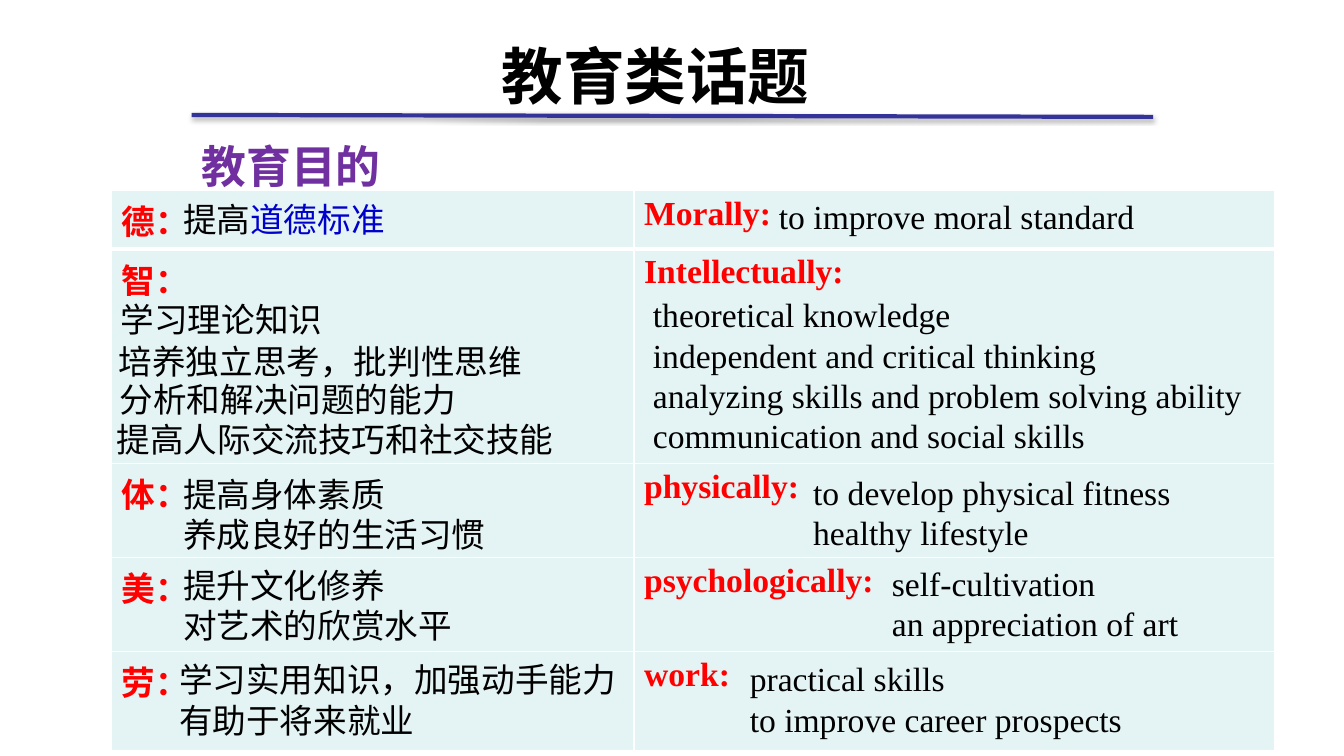
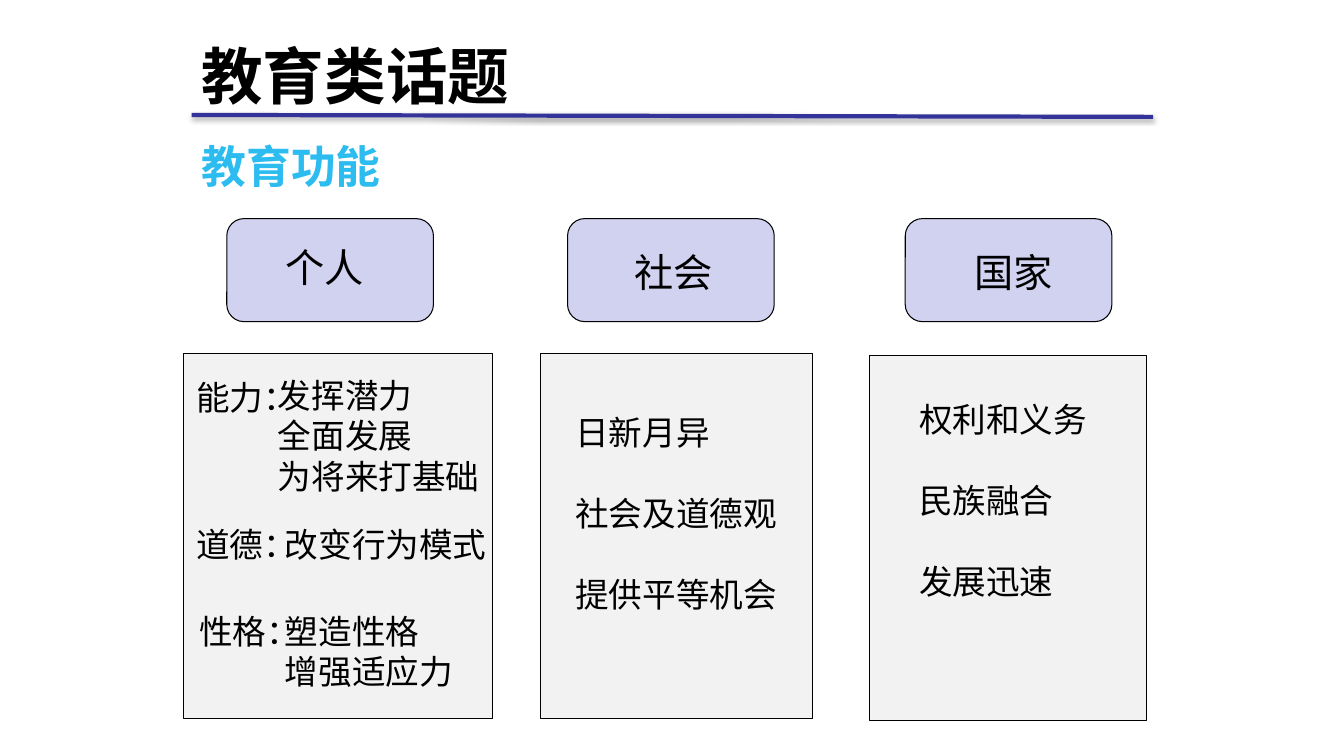
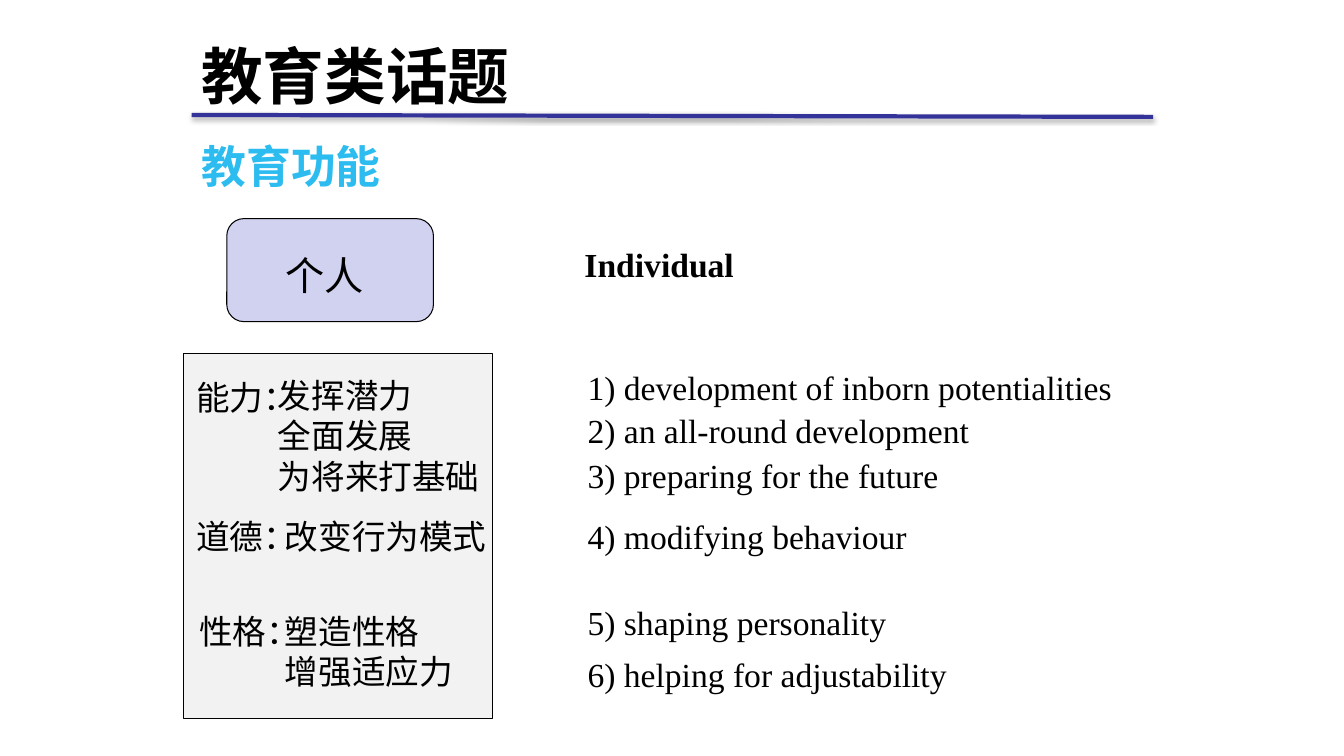
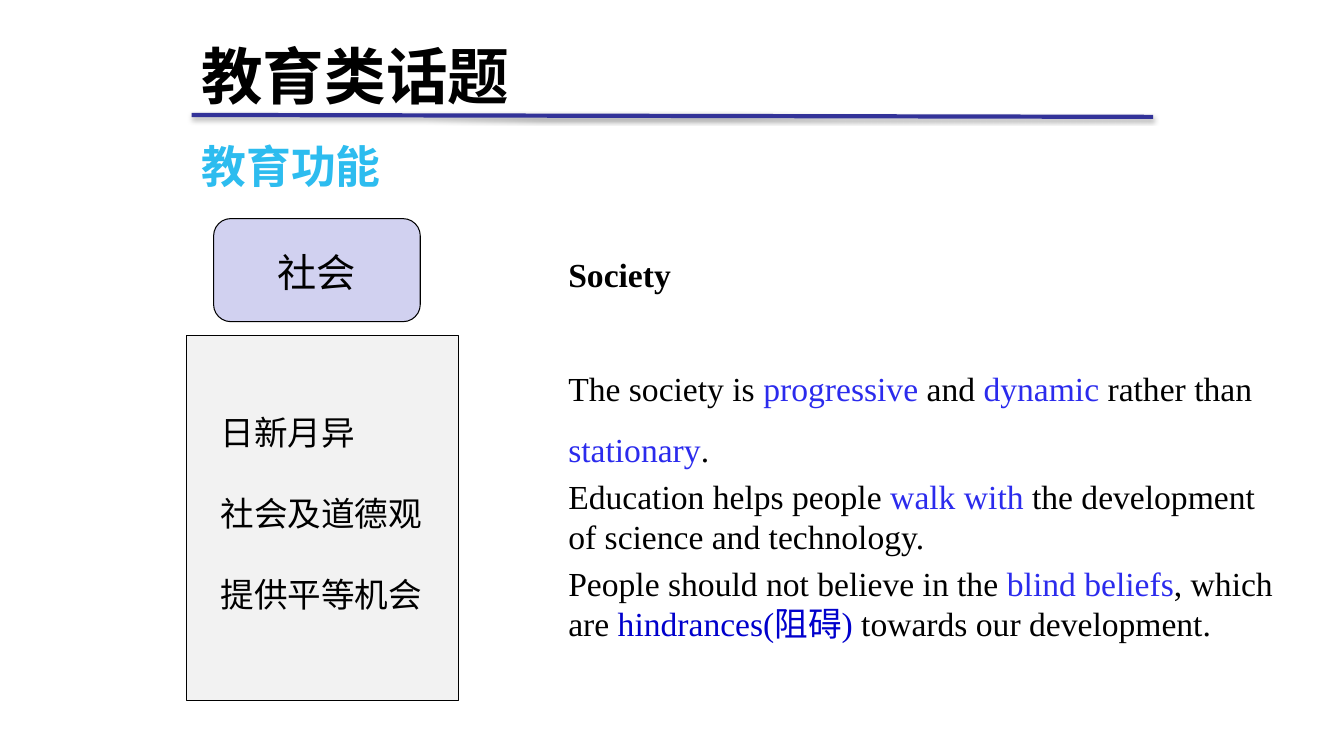
from lxml.etree import SubElement
from pptx import Presentation
from pptx.dml.color import RGBColor
from pptx.enum.shapes import MSO_CONNECTOR, MSO_SHAPE
from pptx.enum.text import PP_ALIGN
from pptx.oxml import parse_xml
from pptx.oxml.ns import nsdecls, qn
from pptx.util import Pt

# Shared look
SANS, SERIF, HAN = "Arial", "Times New Roman", "Noto Sans CJK SC"
BLACK, WHITE, RED = "000000", "FFFFFF", "FF0000"
PURPLE, SKY, RULE_BLUE = "7030A0", "2DBCEF", "333399"
DEEP_BLUE, KEY_BLUE = "0000CC", "2B2BED"
CARD_FILL, PANEL_FILL, CELL_FILL = "D1D1F0", "F2F2F2", "E4F3F4"
LEADING = 1.2       # line pitch in ems
LINE = 24 * LEADING  # one line of body text

# Shared places
MARGIN = 136.8
CARD_TOP, CARD_W, CARD_H = 156.2, 147.6, 73.6
PANEL_H = 260.6

INDIVIDUAL_LEFT, INDIVIDUAL_TOP = 131, 252.7
SOCIETY_POINTS = ["日新月异", "社会及道德观", "提供平等机会"]


def rgb(hex_text):
    return RGBColor.from_string(hex_text)


def add_run(paragraph, text, size=24, font=HAN, color=BLACK, bold=False):
    run = paragraph.add_run()
    run.text = text
    for name, value in {"size": Pt(size), "name": font, "bold": bold}.items():
        setattr(run.font, name, value)
    run.font.color.rgb = rgb(color)
    SubElement(run.font._element, qn("a:ea")).set("typeface", HAN)


def add_text(slide, left, top, width, height, paragraphs, size=24, font=HAN,
             color=BLACK, bold=False, align=PP_ALIGN.LEFT, gap=0):
    """A paragraph is a string or a list of (text, colour) pairs."""
    frame = slide.shapes.add_textbox(Pt(left), Pt(top), Pt(width), Pt(height)).text_frame
    frame.word_wrap = True
    if font != SERIF:
        frame.margin_top = Pt(round(3.6 + 0.06 * size, 2))
    for index, content in enumerate(paragraphs):
        paragraph = frame.paragraphs[0] if index == 0 else frame.add_paragraph()
        spacing = {"alignment": align, "line_spacing": Pt(size * LEADING),
                   "space_before": Pt(gap if index else 0)}
        for name, value in spacing.items():
            setattr(paragraph, name, value)
        pieces = [(content, color)] if isinstance(content, str) else content
        for text, piece_color in pieces:
            add_run(paragraph, text, size, font, piece_color, bold)
    return frame


def add_block(slide, kind, left, top, width, height, fill):
    block = slide.shapes.add_shape(kind, Pt(left), Pt(top), Pt(width), Pt(height))
    block.shadow.inherit = False
    block.fill.solid()
    block.fill.fore_color.rgb = rgb(fill)
    block.line.color.rgb = rgb(BLACK)
    block.line.width = Pt(0.75)


def add_header(slide, section, accent, title_left=MARGIN, align=PP_ALIGN.LEFT):
    # Rule with a soft shadow
    rule = slide.shapes.add_connector(MSO_CONNECTOR.STRAIGHT, Pt(MARGIN), Pt(82.1),
                                      Pt(823.7), Pt(83.5))
    rule.line.color.rgb = rgb(RULE_BLUE)
    rule.line.width = Pt(3)
    rule._element.spPr.append(parse_xml(
        f'<a:effectLst {nsdecls("a")}><a:outerShdw blurRad="{Pt(3.1)}" dist="{Pt(1.8)}" '
        f'dir="5400000" rotWithShape="0"><a:srgbClr val="{BLACK}"><a:alpha val="35000"/>'
        '</a:srgbClr></a:outerShdw></a:effectLst>'))
    # Title and section name
    add_text(slide, title_left, 20.9, 573.8, 60.5, ["教育类话题"], 44, SANS, bold=True, align=align)
    add_text(slide, MARGIN, 93.6, 193.7, 35.3, [section], 32, SANS, accent, True)


def add_card(slide, left, label, label_dx, label_dy):
    add_block(slide, MSO_SHAPE.ROUNDED_RECTANGLE, left, CARD_TOP, CARD_W, CARD_H, CARD_FILL)
    add_text(slide, left + label_dx, CARD_TOP + label_dy, 96.5, 41, [label], 28,
             align=PP_ALIGN.CENTER)


def add_panel(slide, left, top, width, points, dx, dy):
    add_block(slide, MSO_SHAPE.RECTANGLE, left, top, width, PANEL_H, PANEL_FILL)
    add_text(slide, left + dx, top + dy, 177.1, 5 * LINE + 7.2, points, gap=LINE)


def add_individual_panel(slide, left, top, moral_dy):
    add_block(slide, MSO_SHAPE.RECTANGLE, left, top, 221, PANEL_H, PANEL_FILL)
    aspects = [
        ("能力：", 2.2, 11.5, ["发挥潜力", "全面发展", "为将来打基础"], 60.5, 10.1),
        ("道德：", 2.2, moral_dy, ["改变行为模式"], 65.5, moral_dy),
        ("性格：", 4.3, 178.6, ["塑造性格", "增强适应力"], 65.5, 178.6),
    ]
    for label, label_dx, label_dy, points, dx, dy in aspects:
        add_text(slide, left + label_dx, top + label_dy, 96.5, 36, [label])
        add_text(slide, left + dx, top + dy, 163, len(points) * LINE + 7.2, points)


def set_borders(cell, **widths):
    properties = cell._tc.get_or_add_tcPr()
    for index, side in enumerate("LRTB"):
        properties.insert(index, parse_xml(
            f'<a:ln{side} {nsdecls("a")} w="{Pt(widths.get(side, 1))}"><a:solidFill>'
            f'<a:srgbClr val="{WHITE}"/></a:solidFill></a:ln{side}>'))


def add_aims_table(slide, left, top):
    columns = [373, 457.2]
    rows = [("德：", "Morally:", 41.8), ("智：", "Intellectually:", 153.4),
            ("体：", "physically:", 67), ("美：", "psychologically:", 67),
            ("劳：", "work:", 70.6)]
    table = slide.shapes.add_table(len(rows), len(columns), Pt(left), Pt(top),
                                   Pt(sum(columns)), Pt(sum(row[2] for row in rows))).table
    table.first_row = table.horz_banding = False
    for column, width in zip(table.columns, columns):
        column.width = Pt(width)
    for index, (chinese, english, height) in enumerate(rows):
        table.rows[index].height = Pt(height)
        # The line under the first row is heavier
        heavy = {0: {"B": 3}, 1: {"T": 3}}.get(index, {})
        for cell, text, font in zip(table.rows[index].cells, (chinese, english), (SANS, SERIF)):
            cell.fill.solid()
            cell.fill.fore_color.rgb = rgb(CELL_FILL)
            set_borders(cell, **heavy)
            add_run(cell.text_frame.paragraphs[0], text, 24, font, RED, True)


def add_aims_details(slide, left, top):
    """Details laid over the table whose corner is given."""
    chinese = [
        (43.9, 0.7, [[("提高", BLACK), ("道德标准", DEEP_BLUE)]]),
        (-0.7, 72.7, ["学习理论知识"]),
        (-2.2, 102.2, ["培养独立思考，批判性思维"]),
        (-1.4, 129.6, ["分析和解决问题的能力"]),
        (-3.6, 158.4, ["提高人际交流技巧和社交技能"]),
        (43.9, 197.3, ["提高身体素质", "养成良好的生活习惯"]),
        (43.9, 262.1, ["提升文化修养", "对艺术的欣赏水平"]),
        (41, 329.8, ["学习实用知识，加强动手能力", "有助于将来就业"]),
    ]
    english = [
        (469.4, 0, ["to improve moral standard"]),
        (379.4, 70.6, ["theoretical knowledge", "independent and critical thinking",
                       "analyzing skills and problem solving ability",
                       "communication and social skills"]),
        (493.9, 197.3, ["to develop physical fitness", "healthy lifestyle"]),
        (550.1, 262.1, ["self-cultivation", "an appreciation of art"]),
        (448.6, 330.5, ["practical skills", "to improve career prospects"]),
    ]
    for font, width, details in ((HAN, 360, chinese), (SERIF, 445.7, english)):
        for dx, dy, lines in details:
            # Keep each box on the slide
            add_text(slide, left + dx, top + dy, min(width, 960 - left - dx),
                     len(lines) * LINE + 7.2, lines, font=font)


def add_individual_english(slide, left, top):
    add_text(slide, left, top, 280.8, 48.2, ["Individual"], font=SERIF, bold=True)
    functions = [
        (87.8, "1) development of inborn potentialities"),
        (118.8, "2) an all-round development"),
        (150.5, "3) preparing for the future"),
        (194.4, "4) modifying behaviour"),
        (255.6, "5) shaping personality"),
        (293, "6) helping for adjustability"),
    ]
    for dy, function in functions:
        add_text(slide, left + 2.2, top + dy, 410, 36, [function], font=SERIF)


def add_society_english(slide, left, top):
    statements = [
        [("The society is ", BLACK), ("progressive ", KEY_BLUE), ("and ", BLACK),
         ("dynamic ", KEY_BLUE), ("rather than ", BLACK), ("stationary", KEY_BLUE),
         (".", BLACK)],
        [("Education helps people ", BLACK), ("walk with ", KEY_BLUE),
         ("the development of science and technology.", BLACK)],
        [("People should not believe in the ", BLACK), ("blind beliefs", KEY_BLUE),
         (", which are ", BLACK), ("hindrances(阻碍)", DEEP_BLUE),
         (" towards our development.", BLACK)],
    ]
    frame = add_text(slide, left, top, 521.3, 320, ["Society", *statements],
                     font=SERIF, gap=4.8)
    heading, progress = frame.paragraphs[:2]
    heading.runs[0].font.bold = True
    progress.space_before = Pt(LINE + 9.6)
    progress.line_spacing = Pt(1.5 * LINE)


def build_aims(slide):
    add_header(slide, "教育目的", PURPLE, 181.4, PP_ALIGN.CENTER)
    add_aims_table(slide, 79.9, 136.1)
    add_aims_details(slide, 79.9, 136.1)


def build_functions(slide):
    add_header(slide, "教育功能", SKY)
    add_card(slide, 162, "个人", 21.6, 12.2)
    add_card(slide, 405.4, "社会", 27.4, 15.8)
    add_card(slide, 646.6, "国家", 29.2, 15.8)
    add_individual_panel(slide, INDIVIDUAL_LEFT, INDIVIDUAL_TOP, 116.6)
    add_panel(slide, 385.9, 252.7, 194.4, SOCIETY_POINTS, 18, 36.7)
    add_panel(slide, 621.4, 254.2, 197.3, ["权利和义务", "民族融合", "发展迅速"], 28.1, 25.9)


def build_individual(slide):
    add_header(slide, "教育功能", SKY)
    add_card(slide, 162, "个人", 21.6, 18)
    add_individual_panel(slide, INDIVIDUAL_LEFT, INDIVIDUAL_TOP, 110.9)
    add_individual_english(slide, 410.4, 170.6)


def build_society(slide):
    add_header(slide, "教育功能", SKY)
    add_card(slide, 152.6, "社会", 25.2, 15.8)
    add_panel(slide, 133.2, 239.8, 194.4, SOCIETY_POINTS, 17.3, 49.7)
    add_society_english(slide, 398.9, 177.8)


def main():
    deck = Presentation()
    deck.slide_width, deck.slide_height = Pt(960), Pt(540)
    for build in (build_aims, build_functions, build_individual, build_society):
        build(deck.slides.add_slide(deck.slide_layouts[6]))
    deck.save("out.pptx")


if __name__ == "__main__":
    main()
